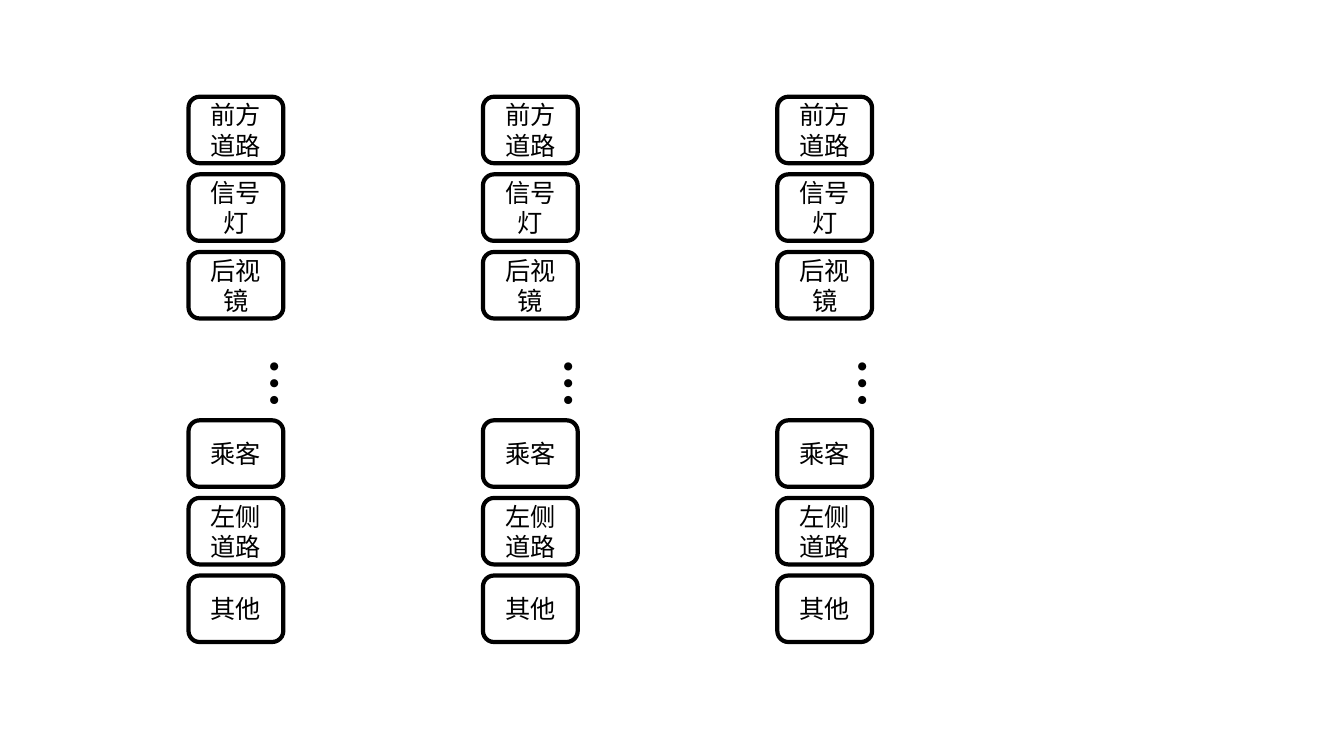
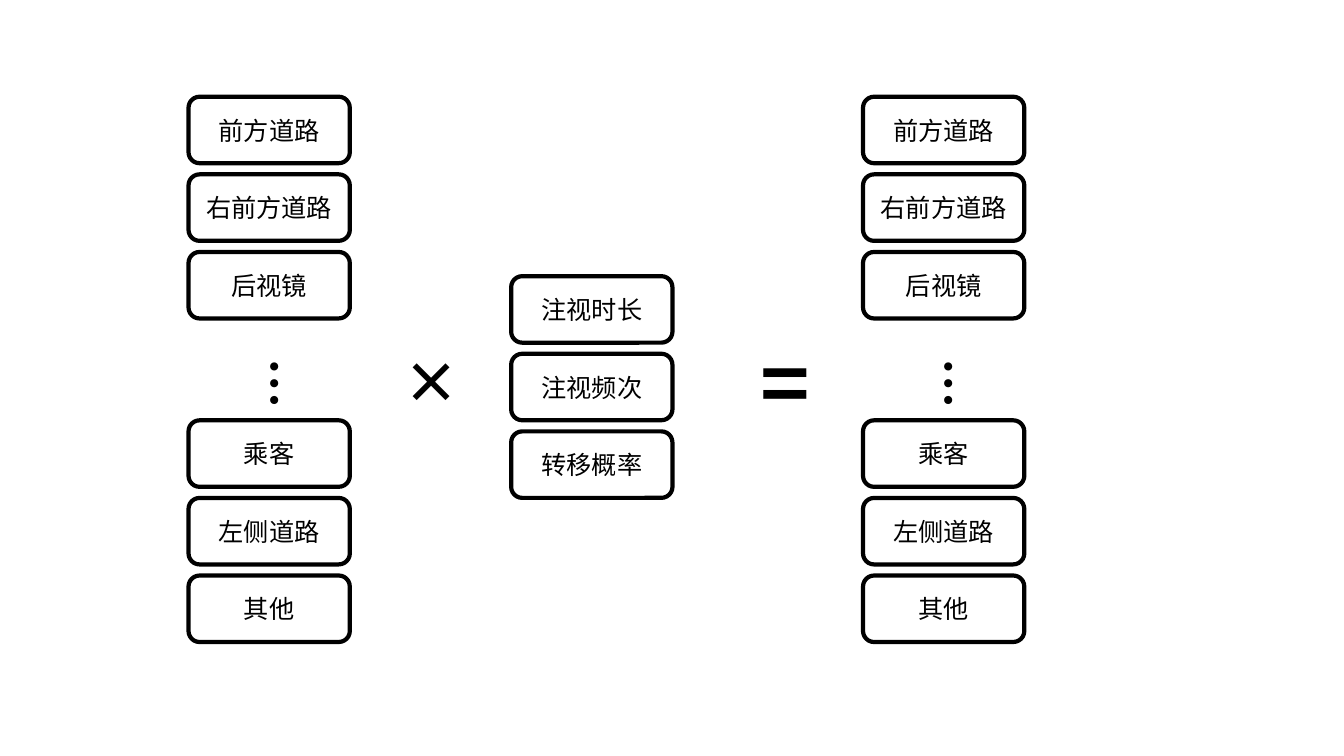
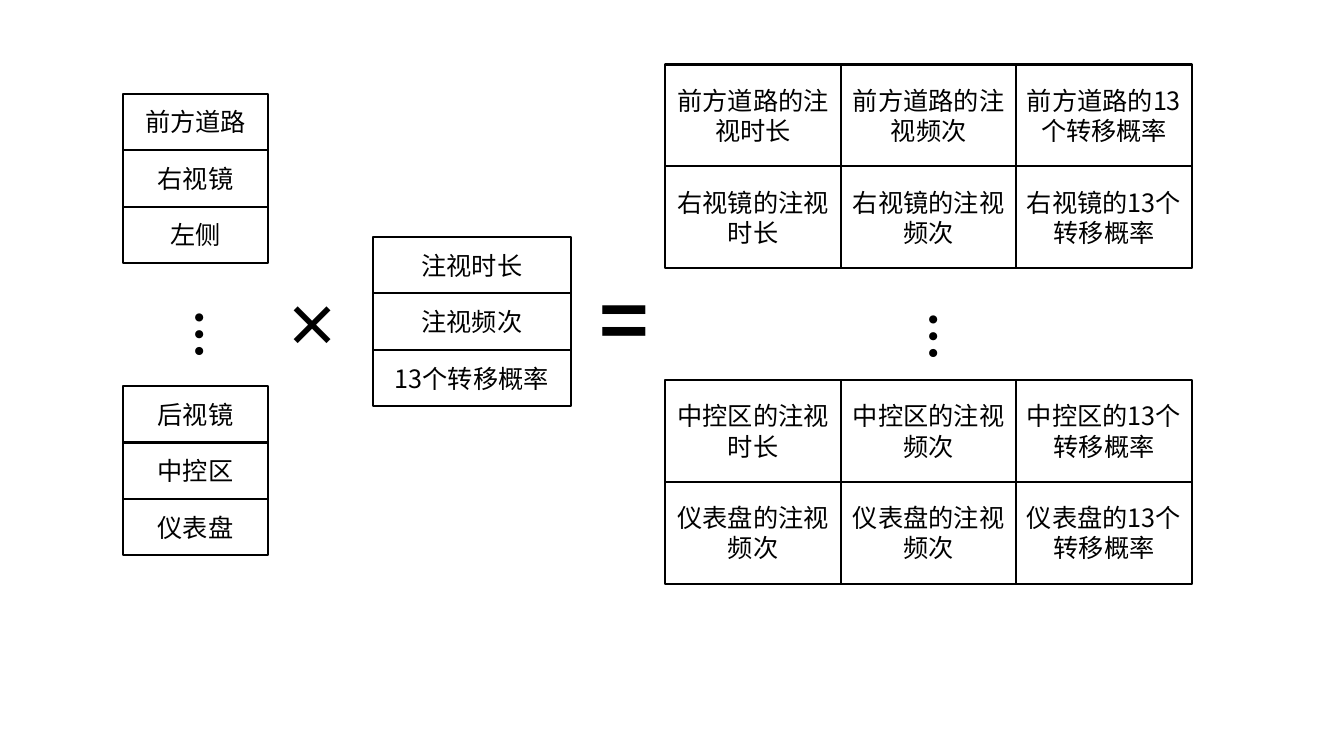
"""Build three slides that combine gaze areas with gaze measures."""
import dataclasses
import typing

import lxml.etree
import pptx
import pptx.dml.color
import pptx.enum.shapes
import pptx.enum.text
import pptx.oxml.ns
import pptx.util

Inches = pptx.util.Inches
Pt = pptx.util.Pt
Preset = pptx.enum.shapes.MSO_SHAPE
Align = pptx.enum.text.PP_ALIGN
Anchor = pptx.enum.text.MSO_ANCHOR


@dataclasses.dataclass(frozen=True)
class Theme:
    font: str = "Noto Sans CJK SC"
    language: str = "zh-CN"
    ink: pptx.dml.color.RGBColor = pptx.dml.color.RGBColor(0, 0, 0)
    label: int = 18
    ellipsis: int = 36
    times: int = 40
    equals: int = 60


@dataclasses.dataclass(frozen=True)
class CellStyle:
    preset: Preset
    line: float
    width: float
    height: float
    row_step: float


@dataclasses.dataclass(frozen=True)
class Sign:
    text: str
    size: int
    width: float
    height: float
    direction: str = "horz"


THEME = Theme()
NARROW = CellStyle(Preset.ROUNDED_RECTANGLE, 3, 0.94, 0.66, 0.77)
WIDE = dataclasses.replace(NARROW, width=1.6)
AREA = CellStyle(Preset.RECTANGLE, 1.5, 1.44, 0.56, 0.56)
MEASURE = dataclasses.replace(AREA, width=1.96)
PRODUCT = CellStyle(Preset.RECTANGLE, 1.5, 1.74, 1.01, 1.01)

ELLIPSIS = Sign("…", THEME.ellipsis, 0.81, 0.5, "eaVert")
TIMES = Sign("×", THEME.times, 0.69, 0.77)
EQUALS = Sign("=", THEME.equals, 0.69, 1.11)

LOWER_AREAS = ("乘客", "左侧道路", "其他")


def write(para: typing.Any, text: str, size: int, bold: bool = False) -> None:
    span = para.add_run()
    span.text = text
    formats = {"name": THEME.font, "size": Pt(size), "bold": bold}
    for name, value in formats.items():
        setattr(span.font, name, value)
    span.font.color.rgb = THEME.ink
    properties = span.font._element
    properties.set("lang", THEME.language)
    east_asian = lxml.etree.SubElement(properties, pptx.oxml.ns.qn("a:ea"))
    east_asian.set("typeface", THEME.font)


def draw_cell(page: typing.Any, style: CellStyle, left: float, top: float, text: str) -> None:
    box = page.shapes.add_shape(
        style.preset, Inches(left), Inches(top), Inches(style.width), Inches(style.height)
    )
    box.shadow.inherit = False
    box.fill.background()
    box.line.color.rgb = THEME.ink
    box.line.width = Pt(style.line)
    formats = {"word_wrap": True, "vertical_anchor": Anchor.MIDDLE}
    for name, value in formats.items():
        setattr(box.text_frame, name, value)
    para = box.text_frame.paragraphs[0]
    para.alignment = Align.CENTER
    write(para, text, THEME.label)


def draw_column(
    page: typing.Any, style: CellStyle, left: float, top: float, labels: typing.Sequence[str]
) -> None:
    for row, text in enumerate(labels):
        draw_cell(page, style, left, top + row * style.row_step, text)


def draw_sign(page: typing.Any, sign: Sign, left: float, top: float) -> None:
    box = page.shapes.add_textbox(
        Inches(left), Inches(top), Inches(sign.width), Inches(sign.height)
    )
    formats = {"word_wrap": True, "auto_size": pptx.enum.text.MSO_AUTO_SIZE.SHAPE_TO_FIT_TEXT}
    for name, value in formats.items():
        setattr(box.text_frame, name, value)
    box.text_frame._txBody.bodyPr.set("vert", sign.direction)
    write(box.text_frame.paragraphs[0], sign.text, sign.size, bold=True)


def draw_area_list(
    page: typing.Any, style: CellStyle, left: float, upper: typing.Sequence[str]
) -> None:
    draw_column(page, style, left, 0.96, upper)
    draw_sign(page, ELLIPSIS, left + 0.4, 3.46)
    draw_column(page, style, left, 4.17, LOWER_AREAS)


def draw_sequence(page: typing.Any) -> None:
    for index in range(3):
        draw_area_list(page, NARROW, 1.87 + index * 2.92, ("前方道路", "信号灯", "后视镜"))


def draw_equation(page: typing.Any) -> None:
    for left in (1.87, 8.56):
        draw_area_list(page, WIDE, left, ("前方道路", "右前方道路", "后视镜"))
    draw_column(page, WIDE, 5.07, 2.74, ("注视时长", "注视频次", "转移概率"))
    draw_sign(page, TIMES, 3.9, 3.4)
    draw_sign(page, EQUALS, 7.44, 3.24)


def draw_expansion(page: typing.Any) -> None:
    draw_column(page, AREA, 1.22, 0.93, ("前方道路", "右视镜", "左侧"))
    draw_column(page, AREA, 1.22, 3.83, ("后视镜", "中控区", "仪表盘"))
    draw_column(page, MEASURE, 3.7, 2.35, ("注视时长", "注视频次", "13个转移概率"))
    draw_sign(page, ELLIPSIS, 1.53, 2.97)
    draw_sign(page, TIMES, 2.72, 2.83)
    draw_sign(page, EQUALS, 5.85, 2.61)
    draw_sign(page, ELLIPSIS, 8.81, 2.99)
    columns = (
        ("前方道路的注视时长", "右视镜的注视时长", "中控区的注视时长", "仪表盘的注视频次"),
        ("前方道路的注视频次", "右视镜的注视频次", "中控区的注视频次", "仪表盘的注视频次"),
        (
            "前方道路的13个转移概率",
            "右视镜的13个转移概率",
            "中控区的13个转移概率",
            "仪表盘的13个转移概率",
        ),
    )
    for index, labels in enumerate(columns):
        left = 6.6 + index * PRODUCT.width
        draw_column(page, PRODUCT, left, 0.64, labels[:2])
        draw_column(page, PRODUCT, left, 3.77, labels[2:])


def main() -> None:
    deck = pptx.Presentation()
    deck.slide_width = Inches(13.33)
    deck.slide_height = Inches(7.5)
    for draw in (draw_sequence, draw_equation, draw_expansion):
        draw(deck.slides.add_slide(deck.slide_layouts[6]))
    deck.save("out.pptx")


if __name__ == "__main__":
    main()
